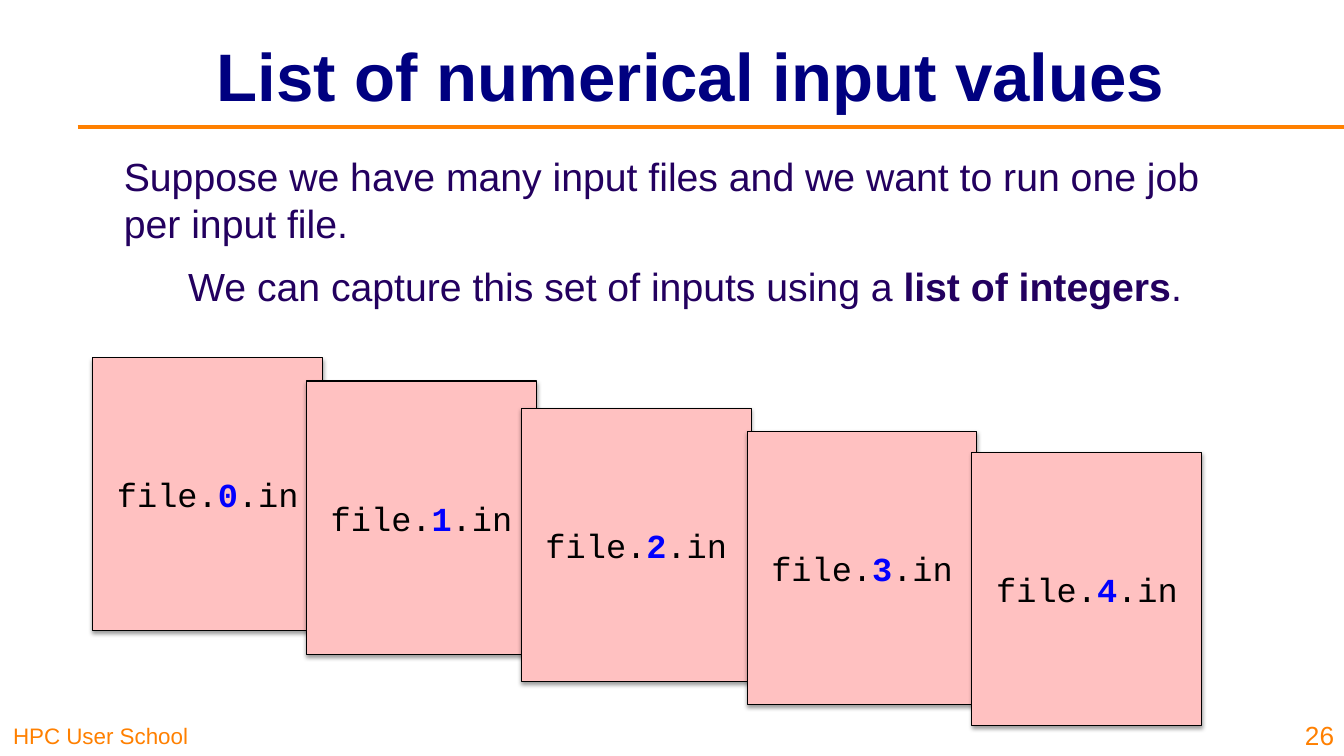
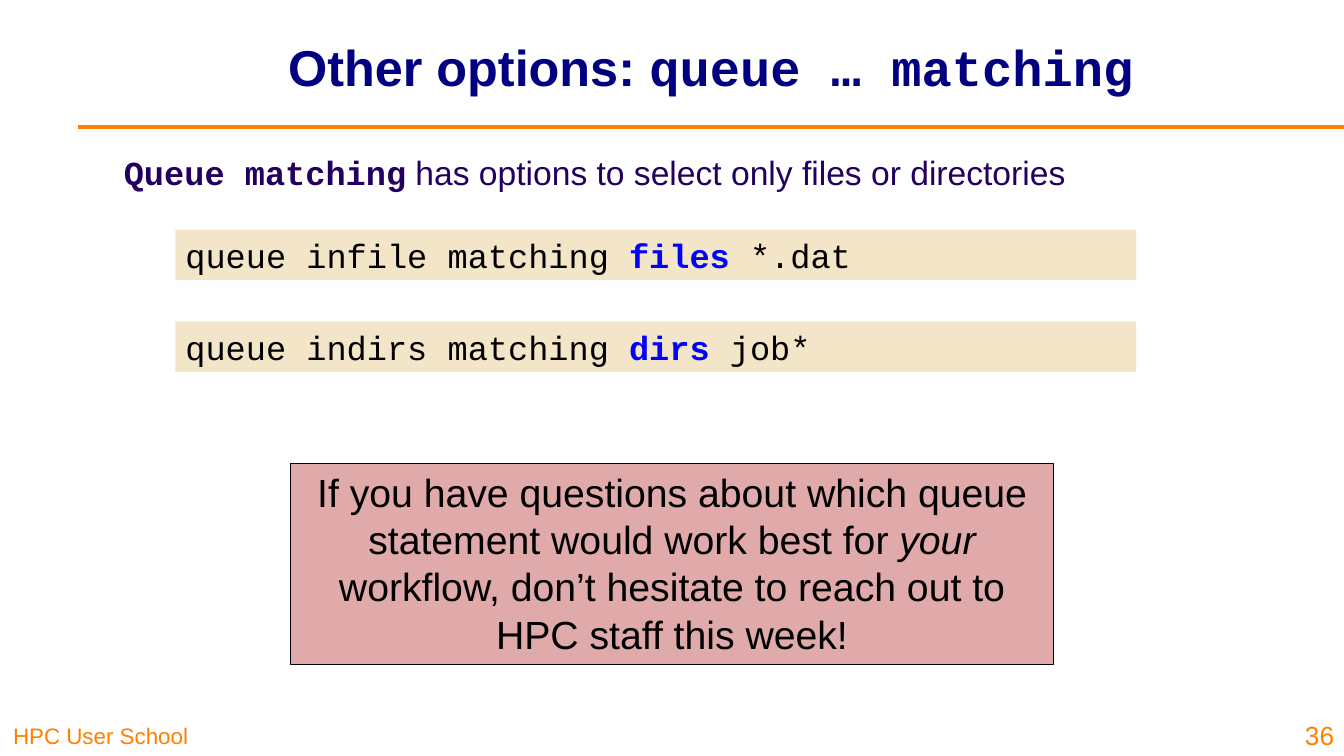
from dataclasses import dataclass

from lxml import etree
from pptx import Presentation
from pptx.dml.color import RGBColor
from pptx.enum.shapes import MSO_CONNECTOR, MSO_SHAPE
from pptx.enum.text import MSO_ANCHOR as Anchor, PP_ALIGN as Align
from pptx.oxml.ns import nsdecls, qn
from pptx.util import Inches, Pt


@dataclass(frozen=True)
class Theme:
    sans: str = "Arial"
    mono: str = "Courier New"
    title: str = "000080"
    body: str = "23005F"
    accent: str = "FF8000"
    ink: str = "000000"
    keyword: str = "0100FE"
    card: str = "FFC1C1"
    code: str = "F3E5C7"
    callout: str = "E0AAAA"
    title_size: float = 48
    long_title_size: float = 36
    body_size: float = 28
    code_size: float = 24
    number_size: float = 18.7
    footer_size: float = 16


THEME = Theme()
BOLD = {"bold": True}
ITALIC = {"italic": True}
MONO = {"name": THEME.mono}
KEYWORD = {"bold": True, "color": THEME.keyword}

# Content: a line of text is a list of (words, run style)
FOOTER = "HPC User School"

LIST_TITLE = [("List of numerical input values", {})]
LIST_INTRO = [("Suppose we have many input files and we want to run one job "
               "per input file.", {})]
LIST_POINT = [("We can capture this set of inputs using a ", {}),
              ("list of integers", BOLD), (".", {})]
FILE_CARDS = [(0.92, 3.55), (3.04, 3.78), (5.17, 4.05), (7.41, 4.28), (9.64, 4.49)]

MATCH_TITLE = [("Other options: ", {}), ("queue … matching", MONO)]
MATCH_INTRO = [("Queue matching", {**MONO, **BOLD}),
               (" has options to select only files or directories", {})]
COMMANDS = [("queue infile matching ", "files", " *.dat"),
            ("queue indirs matching ", "dirs", " job*")]
CALLOUT = [("If you have questions about which queue statement would work best for ", {}),
           ("your", ITALIC),
           (" workflow, don’t hesitate to reach out to HPC staff this week!", {})]


# Text and shape helpers
def set_font(font, name=None, size=None, color=None, bold=None, italic=None):
    if name:
        font.name = name
    if size:
        font.size = Pt(size)
    if color:
        font.color.rgb = RGBColor.from_string(color)
    if bold is not None:
        font.bold = bold
    if italic is not None:
        font.italic = italic


def write(paragraph, spans, align=Align.LEFT, **font):
    paragraph.alignment = align
    set_font(paragraph.font, **font)
    for words, style in spans:
        run = paragraph.add_run()
        run.text = words
        set_font(run.font, **{**font, **style})


def add_text(slide, box, anchor=Anchor.TOP, inset=(0.1, 0.05)):
    frame = slide.shapes.add_textbox(*map(Inches, box)).text_frame
    frame.word_wrap = True
    frame.vertical_anchor = anchor
    frame.margin_left = frame.margin_right = Inches(inset[0])
    frame.margin_top = frame.margin_bottom = Inches(inset[1])
    return frame


def add_panel(slide, box, fill, spans, outlined=True, anchor=Anchor.TOP,
              align=Align.CENTER, **font):
    panel = slide.shapes.add_shape(MSO_SHAPE.RECTANGLE, *map(Inches, box))
    panel.shadow.inherit = False
    panel.fill.solid()
    panel.fill.fore_color.rgb = RGBColor.from_string(fill)
    if outlined:
        panel.line.color.rgb = RGBColor.from_string(THEME.ink)
        panel.line.width = Pt(0.75)
    else:
        panel.line.fill.background()
    frame = panel.text_frame
    frame.word_wrap = True
    frame.vertical_anchor = anchor
    write(frame.paragraphs[0], spans, align, color=THEME.ink, **font)
    return panel


def add_drop_shadow(shape):
    effects = shape._element.spPr.find(qn("a:effectLst"))
    effects.append(etree.fromstring(
        f'<a:outerShdw {nsdecls("a")} blurRad="{Pt(3.1)}" dist="{Pt(1.6)}" '
        f'dir="5400000" rotWithShape="0"><a:srgbClr val="{THEME.ink}">'
        '<a:alpha val="38000"/></a:srgbClr></a:outerShdw>'))


# Shared frame: footer, rule, title and slide number
def start_slide(deck, title, title_box, title_size, number):
    slide = deck.slides.add_slide(deck.slide_layouts[6])
    footer = add_text(slide, (0, 7.08, 3.3, 0.42), Anchor.BOTTOM, (0.13, 0.07))
    write(footer.paragraphs[0], [(FOOTER, {})], name=THEME.sans,
          size=THEME.footer_size, color=THEME.accent)

    rule = slide.shapes.add_connector(MSO_CONNECTOR.STRAIGHT, Inches(0.77), Inches(1.26),
                                      Inches(13.33), Inches(1.26))
    rule.line.color.rgb = RGBColor.from_string(THEME.accent)
    rule.line.width = Pt(3)
    etree.SubElement(rule._element.spPr, qn("a:effectLst"))

    heading = add_text(slide, title_box, Anchor.MIDDLE)
    write(heading.paragraphs[0], title, Align.CENTER, name=THEME.sans,
          size=title_size, color=THEME.title, bold=True)

    page = add_text(slide, (12.72, 7, 0.61, 0.5), Anchor.BOTTOM)
    write(page.paragraphs[0], [(str(number), {})], Align.RIGHT, name=THEME.sans,
          size=THEME.number_size, color=THEME.accent)
    return slide


def add_body(slide, lines, size):
    frame = add_text(slide, (1.13, 1.46, 11.33, 5.12))
    for index, (spans, align) in enumerate(lines):
        paragraph = frame.add_paragraph() if index else frame.paragraphs[0]
        paragraph.space_before = Pt(size * 0.2)
        paragraph.space_after = Pt(6)
        write(paragraph, spans, align, name=THEME.sans, size=size, color=THEME.body)


# Slides
def build_list_slide(deck):
    slide = start_slide(deck, LIST_TITLE, (1.79, 0.12, 10.13, 1.25),
                        THEME.title_size, 26)
    add_body(slide, [(LIST_INTRO, Align.LEFT), (LIST_POINT, Align.CENTER)],
             THEME.body_size)
    for index, (left, top) in enumerate(FILE_CARDS):
        file_name = [("file.", {}), (str(index), KEYWORD), (".in", {})]
        card = add_panel(slide, (left, top, 2.28, 2.71), THEME.card, file_name,
                         anchor=Anchor.MIDDLE, name=THEME.mono, size=THEME.code_size)
        add_drop_shadow(card)


def build_matching_slide(deck):
    slide = start_slide(deck, MATCH_TITLE, (0.92, -0.07, 12.26, 1.45),
                        THEME.long_title_size, 36)
    add_body(slide, [(MATCH_INTRO, Align.LEFT)], THEME.code_size)
    for index, (before, keyword, after) in enumerate(COMMANDS):
        add_panel(slide, (1.74, 2.28 + index * 0.91, 9.53, 0.5), THEME.code,
                  [(before, {}), (keyword, KEYWORD), (after, {})], outlined=False,
                  align=Align.LEFT, name=THEME.mono, size=THEME.code_size)
    add_panel(slide, (2.88, 4.6, 7.57, 1.99), THEME.callout, CALLOUT,
              name=THEME.sans, size=THEME.body_size)


def main():
    deck = Presentation()
    deck.slide_width, deck.slide_height = Inches(13.33), Inches(7.5)
    build_list_slide(deck)
    build_matching_slide(deck)
    deck.save("out.pptx")


if __name__ == "__main__":
    main()
